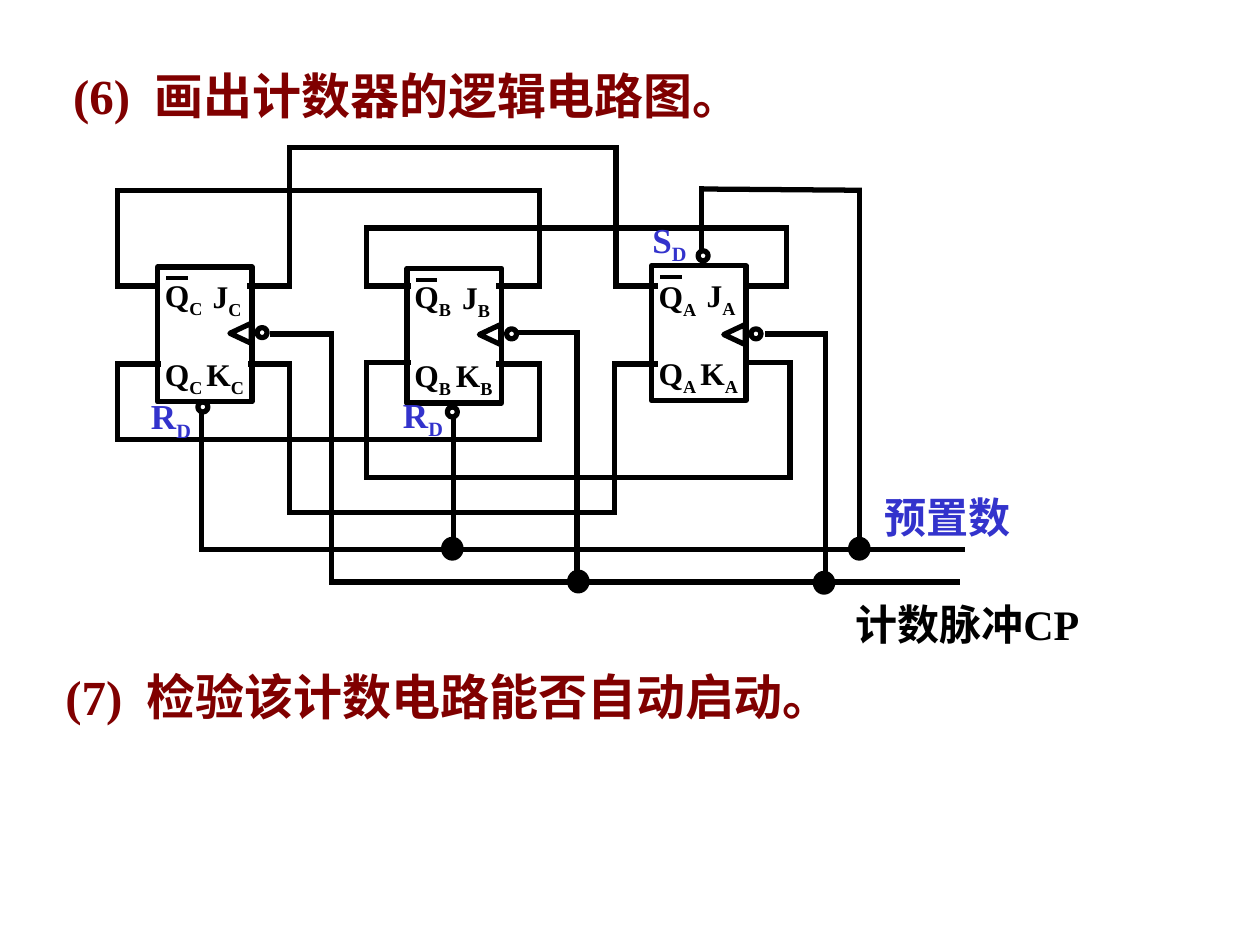
from lxml.etree import SubElement
from pptx import Presentation
from pptx.dml.color import RGBColor
from pptx.enum.shapes import MSO_CONNECTOR, MSO_SHAPE
from pptx.enum.text import MSO_ANCHOR, MSO_AUTO_SIZE, PP_ALIGN
from pptx.oxml.ns import qn
from pptx.util import Inches, Pt

BLACK = RGBColor(0x00, 0x00, 0x00)
BLUE = RGBColor(0x33, 0x33, 0xCC)
MAROON = RGBColor(0x80, 0x00, 0x00)
FONT = "Times New Roman"
WIRE = 3

# Name, left, top and extra drop of the clock input of each flip-flop
FLIP_FLOPS = [("C", 1.25, 2.12, 0), ("B", 3.23, 2.13, 0), ("A", 5.17, 2.11, 0.02)]

# Feedback loops: start x, left x, rail y, right x, end x, pin y
LOOPS = [
    (1.24, 0.93, 1.51, 4.28, 3.96, 2.27),
    (3.24, 2.91, 1.81, 6.24, 5.92, 2.27),
    (1.98, 2.30, 1.17, 4.89, 5.20, 2.27),
    (1.26, 0.93, 3.49, 4.28, 3.96, 2.89),
    (3.24, 2.91, 3.79, 6.27, 5.93, 2.88),
    (1.99, 2.30, 4.07, 4.88, 5.20, 2.89),
]

# Preset line with its drops, then clock line with its drops
BUSES = [
    [(1.60, 3.28), (1.60, 4.36), (7.64, 4.36)],
    [(3.60, 3.34), (3.60, 4.36)],
    [(5.57, 1.97), (5.57, 1.50), (6.82, 1.51), (6.82, 4.36)],
    [(2.16, 2.65), (2.63, 2.65), (2.63, 4.62), (7.60, 4.62)],
    [(4.13, 2.64), (4.58, 2.64), (4.58, 4.62)],
    [(6.09, 2.65), (6.55, 2.65), (6.55, 4.62)],
]
JUNCTIONS = [(3.50, 4.26), (6.73, 4.26), (4.50, 4.52), (6.45, 4.53)]
RESET_BUBBLES = [(1.57, 3.19), (3.55, 3.23), (5.54, 1.99)]


def add_span(para, text, size, color):
    span = para.add_run()
    span.text = text
    span.font.name = FONT
    span.font.size = Pt(size)
    span.font.bold = True
    span.font.color.rgb = color
    return span


def add_label(page, left, top, width, height, text, size, color,
              subscript="", anchor=MSO_ANCHOR.MIDDLE):
    box = page.shapes.add_textbox(Inches(left), Inches(top), Inches(width), Inches(height))
    frame = box.text_frame
    frame.word_wrap = True
    frame.auto_size = MSO_AUTO_SIZE.SHAPE_TO_FIT_TEXT
    frame.vertical_anchor = anchor
    para = frame.paragraphs[0]
    add_span(para, text, size, color)
    if subscript:
        span = add_span(para, subscript, size, color)
        span.font._element.set("baseline", "-25000")


def add_outline(page, kind, left, top, width, height):
    shape = page.shapes.add_shape(kind, Inches(left), Inches(top), Inches(width), Inches(height))
    shape.shadow.inherit = False
    shape.fill.background()
    shape.line.color.rgb = BLACK
    shape.line.width = Pt(WIRE)
    return shape


def add_bubble(page, left, top):
    add_outline(page, MSO_SHAPE.OVAL, left, top, 0.08, 0.08)


def add_junction(page, left, top):
    dot = add_outline(page, MSO_SHAPE.OVAL, left, top, 0.18, 0.19)
    dot.fill.solid()
    dot.fill.fore_color.rgb = BLACK
    dot.line.fill.background()


def add_line(page, start, end, width=WIRE, cap="flat"):
    line = page.shapes.add_connector(
        MSO_CONNECTOR.STRAIGHT, *(Inches(value) for value in (*start, *end)))
    line.line.color.rgb = BLACK
    line.line.width = Pt(width)
    line.line._get_or_add_ln().set("cap", cap)
    SubElement(line._element.spPr, qn("a:effectLst"))


def add_wire(page, points):
    # Square caps close the corners
    for start, end in zip(points, points[1:]):
        add_line(page, start, end, cap="sq")


def add_loop(page, start, left, rail, right, end, pin):
    add_wire(page, [(start, pin), (left, pin), (left, rail),
                    (right, rail), (right, pin), (end, pin)])


def add_flip_flop(page, name, left, top, drop):
    add_outline(page, MSO_SHAPE.RECTANGLE, left, top, 0.75, 1.07)
    # Clock input
    clock = add_outline(page, MSO_SHAPE.FLOWCHART_EXTRACT,
                        left + 0.58, top + 0.44 + drop, 0.16, 0.17)
    clock.rotation = 270
    add_bubble(page, left + 0.79, top + 0.48 + drop)
    # Pin names, with a bar over the upper Q
    pins = [("Q", -0.04, 0.02 + drop), ("J", 0.34, 0.03), ("Q", -0.04, 0.65), ("K", 0.29, 0.65)]
    for letter, across, down in pins:
        add_label(page, left + across, top + down, 0.73, 0.44, letter, 18, BLACK,
                  name, MSO_ANCHOR.TOP)
    add_line(page, (left + 0.07, top + 0.09), (left + 0.24, top + 0.09), 2.25)


def set_title(page, text):
    title = page.shapes.title
    title.left, title.top = Inches(0.48), Inches(0.47)
    title.width, title.height = Inches(8.45), Inches(0.57)
    title.text_frame.vertical_anchor = MSO_ANCHOR.MIDDLE
    para = title.text_frame.paragraphs[0]
    para.alignment = PP_ALIGN.LEFT
    add_span(para, text, 28, MAROON)


def main():
    deck = Presentation()
    deck.slide_width, deck.slide_height = Inches(10), Inches(7.5)
    page = deck.slides.add_slide(deck.slide_layouts[5])
    set_title(page, "(6)  画出计数器的逻辑电路图。")

    # Flip-flops and wiring
    for flip_flop in FLIP_FLOPS:
        add_flip_flop(page, *flip_flop)
    for loop in LOOPS:
        add_loop(page, *loop)
    for points in BUSES:
        add_wire(page, points)
    for place in RESET_BUBBLES:
        add_bubble(page, *place)
    for place in JUNCTIONS:
        add_junction(page, *place)

    # Set and reset inputs
    for letter, left, top in [("R", 1.10, 3.08), ("R", 3.10, 3.07), ("S", 5.08, 1.68)]:
        add_label(page, left, top, 1.26, 0.48, letter, 20, BLUE, "D")

    # Line names and next step
    add_label(page, 6.92, 3.85, 1.45, 0.5, "预置数", 24, BLUE)
    add_label(page, 6.69, 4.7, 2.11, 0.5, "计数脉冲CP", 24, BLACK)
    add_label(page, 0.42, 5.24, 8.67, 0.57, "(7)  检验该计数电路能否自动启动。", 28, MAROON)

    deck.save("out.pptx")


if __name__ == "__main__":
    main()
